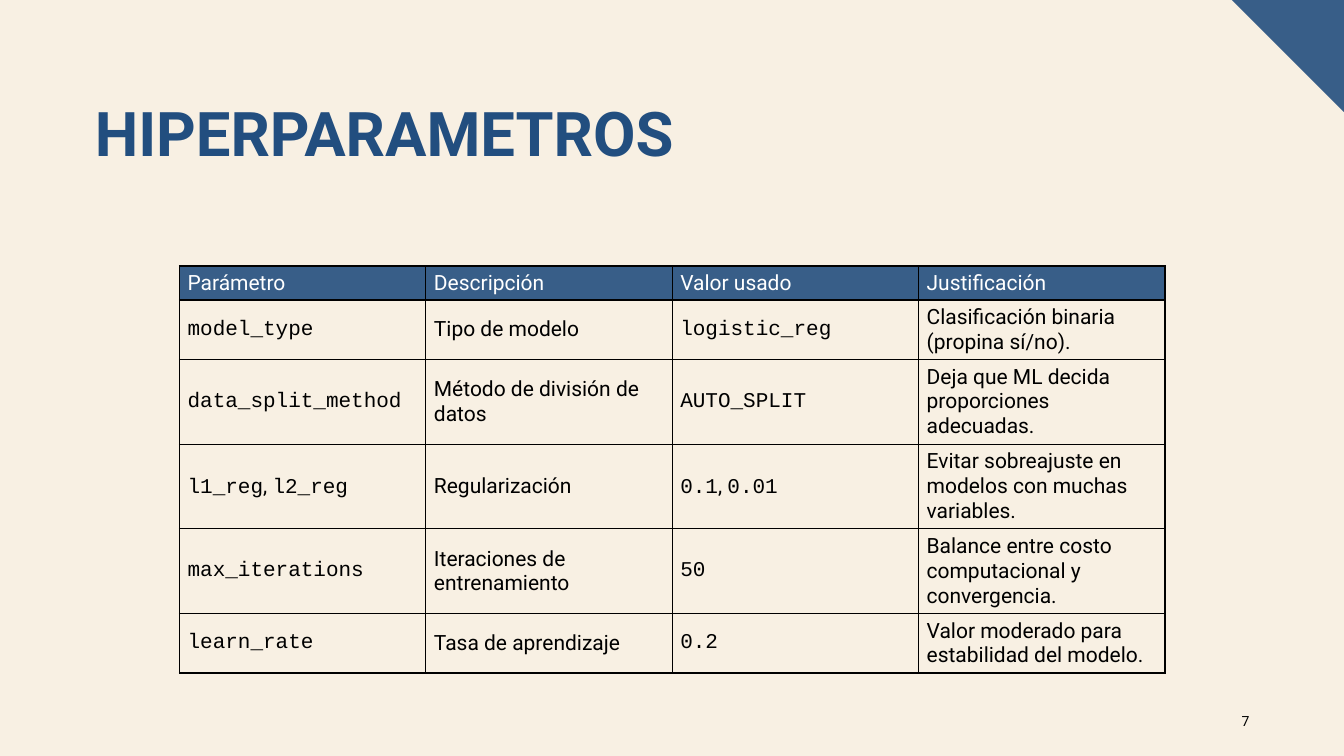
from dataclasses import dataclass

from lxml import etree
from pptx import Presentation
from pptx import util as u
from pptx.dml.color import RGBColor
from pptx.enum import text
from pptx.oxml import ns

CREAM = RGBColor(0xF8, 0xF0, 0xE3)
BLUE = RGBColor(0x38, 0x5E, 0x88)
TITLE_BLUE = RGBColor(0x22, 0x4E, 0x7F)
WHITE = RGBColor(0xFF, 0xFF, 0xFF)
BLACK = RGBColor(0, 0, 0)
SANS, MONO = "Roboto", "Courier New"
SEPARATOR = ", "
WIDTH, HEIGHT, CORNER = 960, 540, 80
COLUMN_WIDTH = 176
HEADINGS = ("Parámetro", "Descripción", "Valor usado", "Justificación")
HEADING_HEIGHT = 24.3


@dataclass(frozen=True)
class Parameter:
    name: str
    description: str
    value: str
    reason: str
    height: float


PARAMETERS = (
    Parameter("model_type", "Tipo de modelo", "logistic_reg",
              "Clasificación binaria (propina sí/no).", 42.5),
    Parameter("data_split_method", "Método de división de datos", "AUTO_SPLIT",
              "Deja que ML decida proporciones adecuadas.", 60.5),
    Parameter("l1_reg, l2_reg", "Regularización", "0.1, 0.01",
              "Evitar sobreajuste en modelos con muchas variables.", 60.5),
    Parameter("max_iterations", "Iteraciones de entrenamiento", "50",
              "Balance entre costo computacional y convergencia.", 60.5),
    Parameter("learn_rate", "Tasa de aprendizaje", "0.2",
              "Valor moderado para estabilidad del modelo.", 42.5),
)


def style(span, size: float, color: RGBColor, face: str = SANS, bold: bool = False) -> None:
    span.font.size = u.Pt(size)
    span.font.name = face
    span.font.bold = bold
    span.font.color.rgb = color


def draw_corner(page) -> None:
    builder = page.shapes.build_freeform(u.Pt(WIDTH - CORNER), 0)
    builder.add_line_segments([(u.Pt(WIDTH), 0), (u.Pt(WIDTH), u.Pt(CORNER))])
    corner = builder.convert_to_shape()
    corner.shadow.inherit = False
    corner.fill.solid()
    corner.fill.fore_color.rgb = BLUE
    corner.line.fill.background()


def draw_title(page) -> None:
    title = page.shapes.title
    title.left, title.top = u.Pt(60.5), u.Pt(70.5)
    title.width, title.height = u.Pt(839.5), u.Pt(104.5)
    frame = title.text_frame
    frame.text = "HIPERPARAMETROS"
    frame.auto_size = text.MSO_AUTO_SIZE.NONE
    frame.vertical_anchor = text.MSO_ANCHOR.TOP
    para = frame.paragraphs[0]
    para.alignment = text.PP_ALIGN.LEFT
    para.line_spacing = 0.9
    style(para.runs[0], 44, TITLE_BLUE, bold=True)


def add_borders(cell) -> None:
    properties = cell._tc.get_or_add_tcPr()
    for side in ("a:lnL", "a:lnR", "a:lnT", "a:lnB"):
        line = etree.SubElement(properties, ns.qn(side), w=str(u.Pt(1)))
        fill = etree.SubElement(line, ns.qn("a:solidFill"))
        etree.SubElement(fill, ns.qn("a:srgbClr"), val=str(BLACK))


def fill_cell(cell, content: str, color: RGBColor, face: str) -> None:
    cell.vertical_anchor = text.MSO_ANCHOR.MIDDLE
    cell.margin_left = cell.margin_right = u.Pt(5.8)
    cell.margin_top = cell.margin_bottom = u.Pt(2.9)
    add_borders(cell)
    para = cell.text_frame.paragraphs[0]
    if face == SANS:
        para.text = content
        style(para.runs[0], 15, color)
        return
    for index, term in enumerate(content.split(SEPARATOR)):
        if index:
            span = para.add_run()
            span.text = SEPARATOR
            style(span, 15, color)
        span = para.add_run()
        span.text = term
        style(span, 15, color, MONO)


def draw_table(page) -> None:
    heights = [HEADING_HEIGHT] + [item.height for item in PARAMETERS]
    table = page.shapes.add_table(
        len(heights), len(HEADINGS), u.Pt(128.2), u.Pt(190),
        u.Pt(COLUMN_WIDTH * len(HEADINGS)), u.Pt(sum(heights))).table
    table.horz_banding = False
    for column in table.columns:
        column.width = u.Pt(COLUMN_WIDTH)
    for row, height in zip(table.rows, heights):
        row.height = u.Pt(height)
    for column, heading in enumerate(HEADINGS):
        cell = table.cell(0, column)
        fill_cell(cell, heading, WHITE, SANS)
        cell.fill.solid()
        cell.fill.fore_color.rgb = BLUE
    for row, item in enumerate(PARAMETERS, start=1):
        contents = (item.name, item.description, item.value, item.reason)
        for column, content in enumerate(contents):
            cell = table.cell(row, column)
            fill_cell(cell, content, BLACK, SANS if column % 2 else MONO)
            cell.fill.background()


def draw_page_number(page) -> None:
    box = page.shapes.add_textbox(u.Pt(863.5), u.Pt(500.5), u.Pt(36), u.Pt(28.8))
    frame = box.text_frame
    frame.word_wrap = True
    frame.vertical_anchor = text.MSO_ANCHOR.MIDDLE
    frame.text = "7"
    para = frame.paragraphs[0]
    para.alignment = text.PP_ALIGN.RIGHT
    style(para.runs[0], 10, BLACK)


def main() -> None:
    deck = Presentation()
    deck.slide_width, deck.slide_height = u.Pt(WIDTH), u.Pt(HEIGHT)
    page = deck.slides.add_slide(deck.slide_layouts[5])
    page.background.fill.solid()
    page.background.fill.fore_color.rgb = CREAM
    draw_corner(page)
    draw_title(page)
    draw_table(page)
    draw_page_number(page)
    deck.save("out.pptx")


if __name__ == "__main__":
    main()
